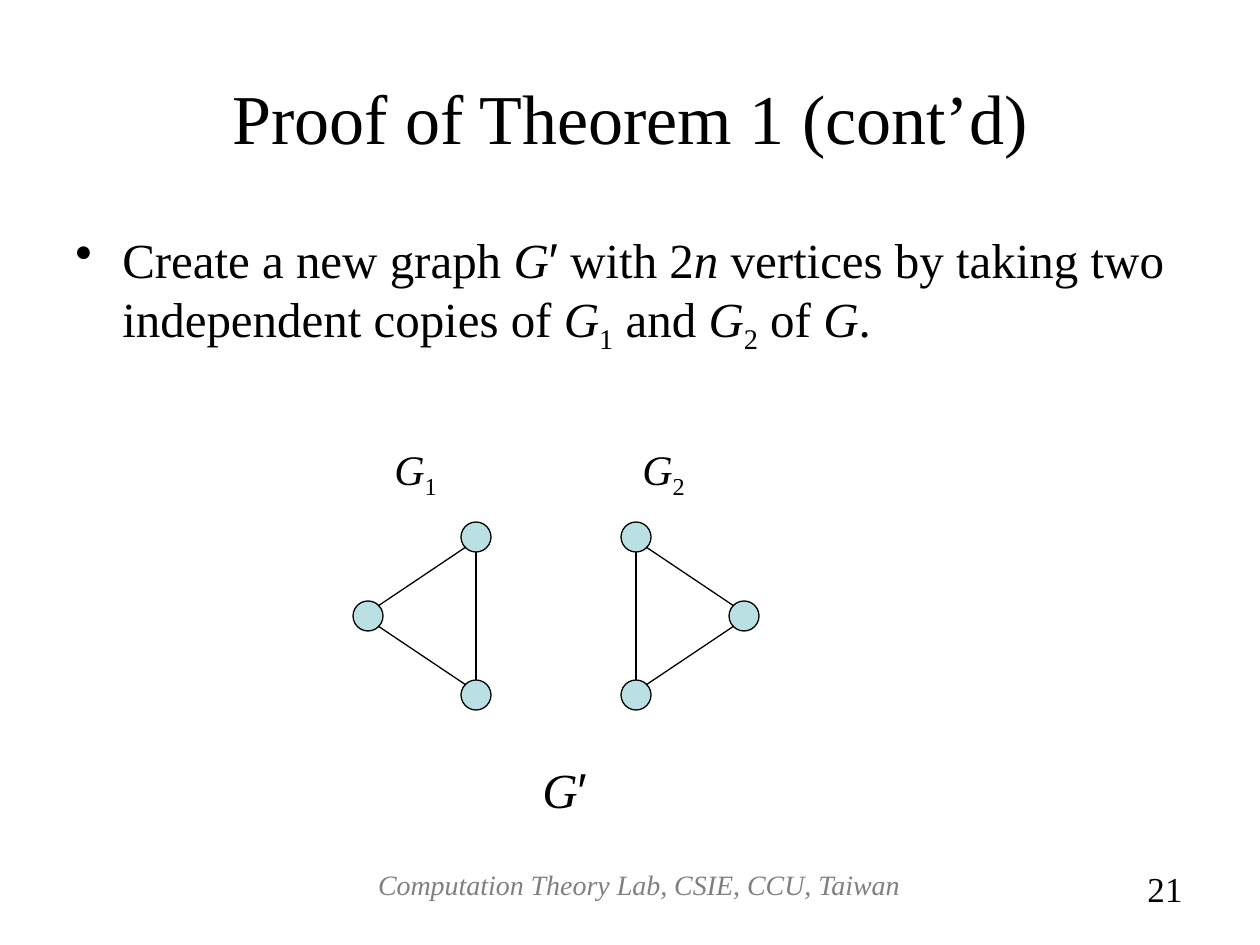
from lxml import etree
from pptx import Presentation
from pptx.dml.color import RGBColor
from pptx.enum.shapes import MSO_CONNECTOR, MSO_SHAPE
from pptx.enum.text import MSO_ANCHOR, MSO_AUTO_SIZE, PP_ALIGN
from pptx.oxml.ns import qn
from pptx.util import Emu, Pt

LEFT, CENTER, RIGHT = PP_ALIGN.LEFT, PP_ALIGN.CENTER, PP_ALIGN.RIGHT
TOP, MIDDLE = MSO_ANCHOR.TOP, MSO_ANCHOR.MIDDLE
NO_FIT = MSO_AUTO_SIZE.NONE
OVAL = MSO_SHAPE.OVAL
STRAIGHT = MSO_CONNECTOR.STRAIGHT

PX_PER_INCH = 126
FONT = "Times New Roman"
PRIME_FONT = "Arial"
BLACK, GREY, NODE_FILL = "000000", "808080", "BBE0E3"
NODE_SIZE = 30
MIRROR_SUM = 1112

PLAIN, ITALIC, SUBSCRIPT, PRIME = "plain", "italic", "subscript", "prime"
NODES = [(353, 601), (461, 680), (461, 522)]
EDGES = [(378, 606, 466, 547), (378, 626, 466, 685), (476, 552, 476, 680)]


def px(length):
    """Turn a length in px into EMU."""
    return Emu(round(length * 914400 / PX_PER_INCH))


def color(hex_value):
    """Turn a hex string into a colour."""
    return RGBColor.from_string(hex_value)


def write_text(shape, runs, size=28, fill=BLACK, align=LEFT, anchor=TOP):
    """Fill a shape with one paragraph of (text, style) runs and return it."""
    frame = shape.text_frame
    frame.word_wrap = True
    frame.auto_size = NO_FIT
    frame.vertical_anchor = anchor
    paragraph = frame.paragraphs[0]
    paragraph.alignment = align
    for text, style in runs:
        run = paragraph.add_run()
        run.text = text
        run.font.name = PRIME_FONT if style == PRIME else FONT
        run.font.size = Pt(size)
        run.font.italic = style == ITALIC
        run.font.color.rgb = color(fill)
        if style == SUBSCRIPT:
            run._r.get_or_add_rPr().set("baseline", "-25000")
    return paragraph


def add_text(slide, box, runs, **text_format):
    """Add a text box and return its paragraph."""
    shape = slide.shapes.add_textbox(*map(px, box))
    return write_text(shape, runs, **text_format)


def add_bullet(paragraph, indent):
    """Give a paragraph a round bullet with a hanging indent."""
    properties = paragraph._p.get_or_add_pPr()
    properties.set("marL", str(px(indent)))
    properties.set("indent", str(-px(indent)))
    etree.SubElement(properties, qn("a:buChar")).set("char", "•")


def add_title(slide, text):
    """Place and fill the title placeholder."""
    title = slide.shapes.title
    title.left, title.top, title.width, title.height = map(px, (63, 38, 1134, 158))
    write_text(title, [(text, PLAIN)], size=40, align=CENTER, anchor=MIDDLE)


def add_node(slide, left, top):
    """Add one round vertex."""
    node = slide.shapes.add_shape(OVAL, *map(px, (left, top, NODE_SIZE, NODE_SIZE)))
    node.shadow.inherit = False
    node.fill.solid()
    node.fill.fore_color.rgb = color(NODE_FILL)
    node.line.color.rgb = color(BLACK)
    node.line.width = Pt(0.75)


def add_edge(slide, ends):
    """Add one straight edge."""
    edge = slide.shapes.add_connector(STRAIGHT, *map(px, ends))
    edge.line.color.rgb = color(BLACK)
    edge.line.width = Pt(0.75)
    etree.SubElement(edge._element.spPr, qn("a:effectLst"))


def add_graph(slide, index, label_left, mirrored):
    """Add a labelled triangle graph, optionally mirrored left to right."""
    for left, top in NODES:
        add_node(slide, MIRROR_SUM - NODE_SIZE - left if mirrored else left, top)
    for x1, y1, x2, y2 in EDGES:
        if mirrored:
            x1, x2 = MIRROR_SUM - x1, MIRROR_SUM - x2
        add_edge(slide, (x1, y1, x2, y2))
    label = [("G", ITALIC), (index, SUBSCRIPT)]
    add_text(slide, (label_left, 437, 79, 71), label, size=24)


def main():
    """Build the slide and save it."""
    presentation = Presentation()
    presentation.slide_width, presentation.slide_height = px(1260), px(945)
    slide = presentation.slides.add_slide(presentation.slide_layouts[5])
    add_title(slide, "Proof of Theorem 1 (cont’d)")
    statement = [
        ("Create a new graph ", PLAIN), ("G", ITALIC), ("′", PRIME),
        (" with 2", PLAIN), ("n", ITALIC),
        (" vertices by taking two independent copies of ", PLAIN),
        ("G", ITALIC), ("1", SUBSCRIPT), (" and ", PLAIN),
        ("G", ITALIC), ("2", SUBSCRIPT), (" of ", PLAIN),
        ("G", ITALIC), (".", PLAIN),
    ]
    add_bullet(add_text(slide, (63, 223, 1134, 621), statement), 47)
    add_graph(slide, "1", 382, mirrored=False)
    add_graph(slide, "2", 630, mirrored=True)
    add_text(slide, (530, 753, 79, 72), [("G", ITALIC), ("′", PRIME)])
    add_text(slide, (302, 861, 674, 66),
             [("Computation Theory Lab, CSIE, CCU, Taiwan", ITALIC)],
             size=16, fill=GREY, align=CENTER)
    add_text(slide, (1007, 861, 188, 66), [("21", PLAIN)], size=20, align=RIGHT)
    presentation.save("out.pptx")


if __name__ == "__main__":
    main()
